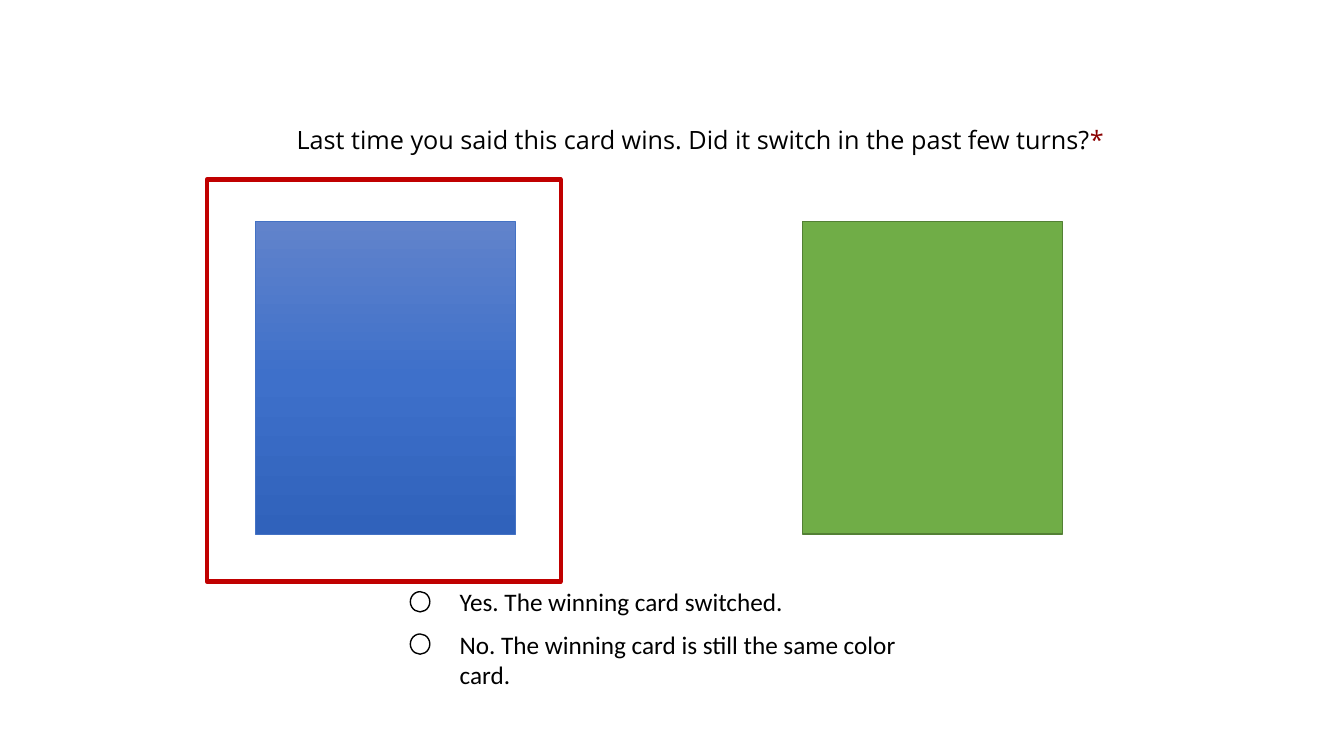
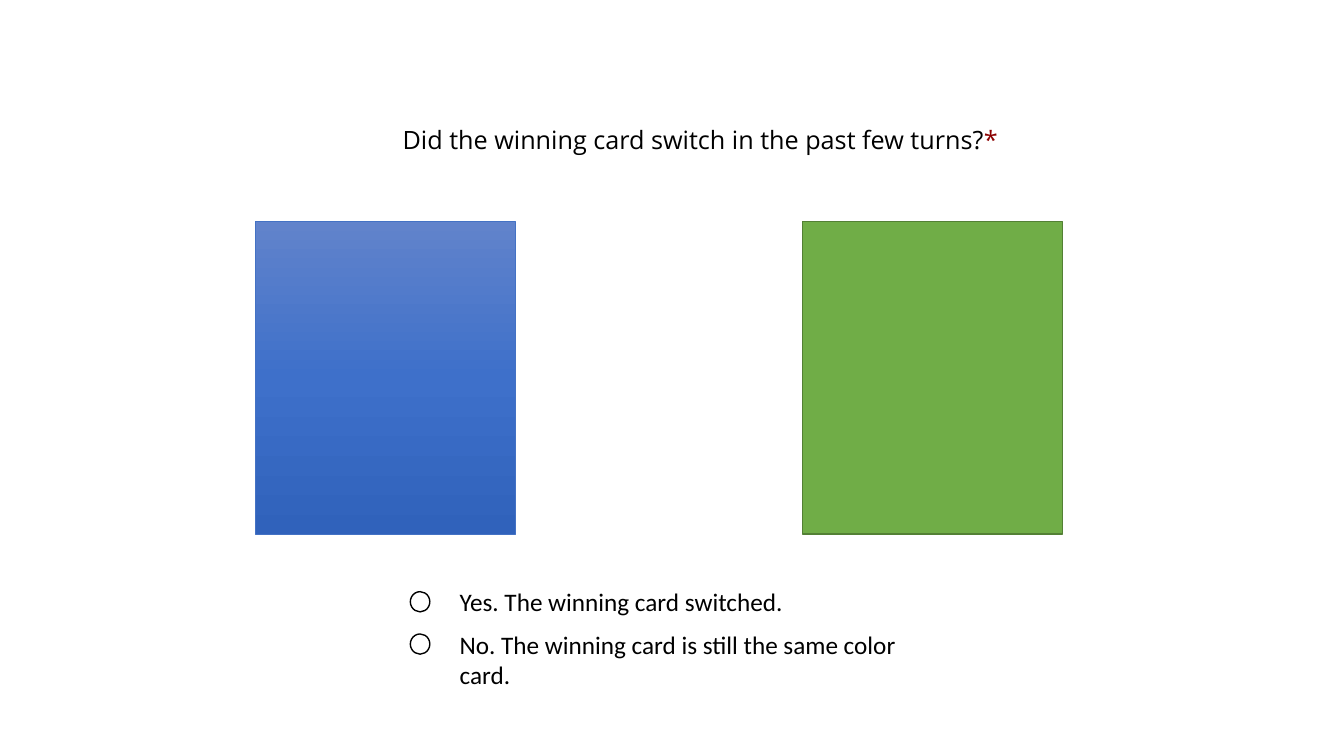
from copy import deepcopy

from pptx import Presentation, util as u
from pptx.dml.color import RGBColor
from pptx.enum import shapes, text
from pptx.oxml.ns import qn

BLACK = RGBColor(0x00, 0x00, 0x00)
STAR = RGBColor(0x8B, 0x00, 0x00)
FRAME = RGBColor(0xC0, 0x00, 0x00)
GREEN = RGBColor(0x70, 0xAD, 0x47)
MOSS = RGBColor(0x53, 0x80, 0x35)
BLUE = RGBColor(0x44, 0x72, 0xC4)
FADE = [RGBColor(0x61, 0x83, 0xCB), RGBColor(0x3E, 0x70, 0xCA), RGBColor(0x30, 0x62, 0xBB)]

WIDE, HIGH = u.Inches(13.33), u.Inches(7.5)
COL, ROW = WIDE / 100, HIGH / 100

# Boxes are left, top, width, height in columns and rows of a 100 x 100 grid.
ASK = (12.3, 15.73, 79.6, 5.33)
LEFT = (19, 29.33, 19.35, 41.33)
RIGHT = (59.7, 29.33, 19.35, 41.33)
PICKS = (30.53, 76.93, 40.43, 11.2)

SLIDES = [
    ("Last time you said this card wins. Did it switch in the past few turns?", True),
    ("Did the winning card switch in the past few turns?", False),
]
CHOICES = ["Yes. The winning card switched.",
           "No. The winning card is still the same color card."]


def grid(box):
    x, y, w, h = box
    return int(x * COL), int(y * ROW), int(w * COL), int(h * ROW)


def outline(slide, kind, box, color, width):
    """Add an unfilled shape with a coloured line."""
    shape = slide.shapes.add_shape(kind, *grid(box))
    shape.shadow.inherit = False
    shape.fill.background()
    shape.line.color.rgb = color
    shape.line.width = u.Pt(width)
    return shape


def write(para, words, font, color):
    run = para.add_run()
    run.text = words
    run.font.name = font
    run.font.size = u.Pt(18)
    run.font.color.rgb = color


def setup(frame):
    frame.word_wrap = True
    frame.auto_size = text.MSO_AUTO_SIZE.NONE
    frame.vertical_anchor = text.MSO_ANCHOR.TOP


def question(slide, box, words):
    title = slide.shapes.title
    title.left, title.top, title.width, title.height = grid(box)
    setup(title.text_frame)
    para = title.text_frame.paragraphs[0]
    para.alignment = text.PP_ALIGN.CENTER
    write(para, words, "Open Sans", BLACK)
    write(para, "*", "Open Sans", STAR)


def fade(shape, colors):
    """Fill a shape with evenly spaced colours from top to bottom."""
    shape.fill.gradient()
    shape.fill.gradient_angle = 270
    first = shape._element.spPr.find(".//" + qn("a:gs"))
    for _ in colors[2:]:
        first.addnext(deepcopy(first))
    for i, (stop, color) in enumerate(zip(shape.fill.gradient_stops, colors)):
        stop.color.rgb = color
        stop.position = i / (len(colors) - 1)


def cards(slide, left, right):
    rect = shapes.MSO_SHAPE.RECTANGLE
    green = outline(slide, rect, right, MOSS, 1)
    green.fill.solid()
    green.fill.fore_color.rgb = GREEN
    fade(outline(slide, rect, left, BLUE, 0.5), FADE)


def choices(slide, box, items):
    x, y, w, h = box
    step = h / len(items)
    for i, words in enumerate(items):
        top = y + i * step
        outline(slide, shapes.MSO_SHAPE.OVAL, (x, top + 1.33, 1.45, 2.67), BLACK, 1)
        label = slide.shapes.add_textbox(*grid((x + 2.93, top, w - 2.93, 5.33)))
        setup(label.text_frame)
        write(label.text_frame.paragraphs[0], words, "Calibri", BLACK)


def mark(slide, card):
    """Frame the card that was chosen last time."""
    x, y, w, h = card
    box = (x - 3.6, y - 5.6, w + 6.97, h + 11.87)
    outline(slide, shapes.MSO_SHAPE.RECTANGLE, box, FRAME, 3)


def main():
    deck = Presentation()
    deck.slide_width, deck.slide_height = WIDE, HIGH
    for words, marked in SLIDES:
        slide = deck.slides.add_slide(deck.slide_layouts[5])
        question(slide, ASK, words)
        cards(slide, LEFT, RIGHT)
        choices(slide, PICKS, CHOICES)
        if marked:
            mark(slide, LEFT)
    deck.save("out.pptx")


if __name__ == "__main__":
    main()
